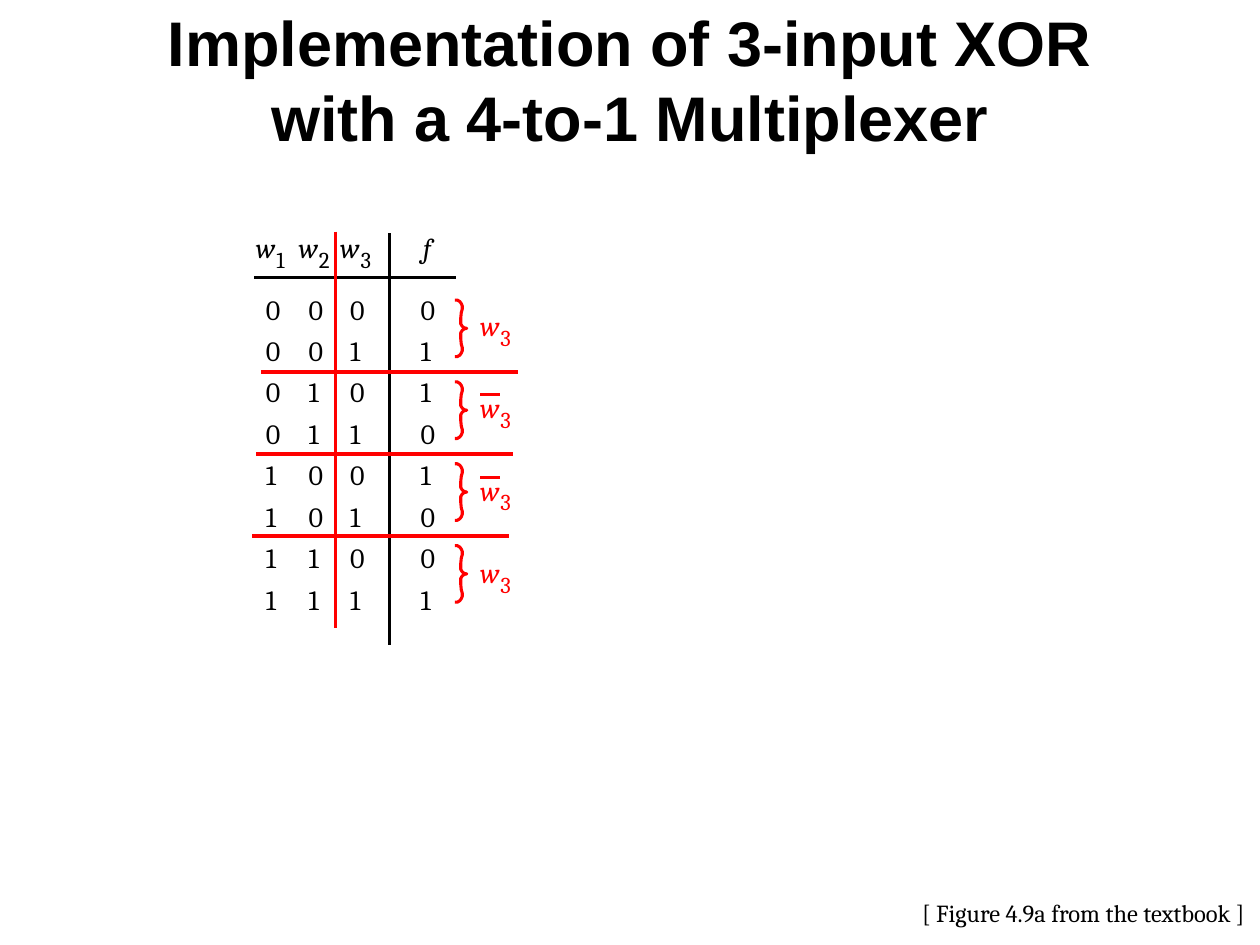
"""Builds a slide with the truth table of a 3-input XOR split for a 4-to-1 multiplexer."""
from dataclasses import dataclass
from itertools import product

from lxml import etree
from pptx import Presentation
from pptx import util as u
from pptx.dml import color
from pptx.enum import shapes, text
from pptx.oxml import ns


@dataclass(frozen=True)
class Theme:
    ink: color.RGBColor = color.RGBColor(0, 0, 0)
    accent: color.RGBColor = color.RGBColor(255, 0, 0)
    title_font: str = "Arial"
    body_font: str = "Cambria"
    title_size: int = 36
    symbol_size: int = 16
    index_size: int = 13
    credit_size: int = 14
    rule_width: float = 1.75
    split_width: float = 2


THEME = Theme()
INPUT_LEFTS = (5.36, 6.22, 7.06)
OUTPUT_LEFT = 8.48
FIRST_ROW, PAIR_PITCH = 5.89, 1.67
GROUP_PITCH = 1.65
BRACE_LEFT, BRACE_TOP, BRACE_HEIGHT = 9.17, 6.05, 1.14
BRACE_HALF = ((0, 0), (0.05, 0), (0.1, 0.03), (0.13, 0.07), (0.15, 0.12),
              (0.15, 0.18), (0.13, 0.25), (0.12, 0.36), (0.12, 0.48),
              (0.15, 0.53), (0.19, 0.56))


def apply(target, values):
    for name, value in values.items():
        setattr(target, name, value)


def add_text(slide, wording, left, top, width, height, size, ink=THEME.ink,
             frame_format=None, align=None, **font_format):
    box = slide.shapes.add_textbox(u.Cm(left), u.Cm(top), u.Cm(width), u.Cm(height))
    frame = box.text_frame
    apply(frame, {"word_wrap": False, "auto_size": text.MSO_AUTO_SIZE.SHAPE_TO_FIT_TEXT,
                  "text": wording, **(frame_format or {})})
    paragraph = frame.paragraphs[0]
    paragraph.alignment = align
    for run in paragraph.runs:
        apply(run.font, {"name": THEME.body_font, "size": u.Pt(size), **font_format})
        run.font.color.rgb = ink


def add_symbol(slide, wording, left, top, size=THEME.symbol_size, ink=THEME.ink, **font_format):
    margins = dict.fromkeys(("margin_left", "margin_top", "margin_right", "margin_bottom"), 0)
    add_text(slide, wording, left, top, 0.43, 0.69, size, ink, margins, **font_format)


def add_variable(slide, index, left, top, ink=THEME.ink):
    add_symbol(slide, "w", left, top, ink=ink, italic=True)
    add_symbol(slide, str(index), left + 0.41, top + 0.3, THEME.index_size, ink)


def add_line(slide, start, end, ink, width):
    ends = [u.Cm(value) for value in (*start, *end)]
    line = slide.shapes.add_connector(shapes.MSO_CONNECTOR.STRAIGHT, *ends)
    line.line.color.rgb = ink
    line.line.width = u.Pt(width)
    etree.SubElement(line._element.spPr, ns.qn("a:effectLst"))


def add_brace(slide, left, top):
    lower_half = [(x, BRACE_HEIGHT - y) for x, y in reversed(BRACE_HALF)]
    outline = [*BRACE_HALF, (0.24, BRACE_HEIGHT / 2), *lower_half]
    points = [(u.Cm(left + x), u.Cm(top + y)) for x, y in outline]
    builder = slide.shapes.build_freeform(*points[0])
    builder.add_line_segments(points[1:], close=False)
    brace = builder.convert_to_shape()
    brace.shadow.inherit = False
    brace.fill.background()
    brace.line.color.rgb = THEME.accent
    brace.line.width = u.Pt(THEME.rule_width)


def add_truth_table(slide):
    add_line(slide, (5.13, 5.59), (9.19, 5.59), THEME.ink, THEME.rule_width)
    add_line(slide, (7.85, 4.7), (7.85, 13), THEME.ink, THEME.rule_width)
    for index, left in enumerate(INPUT_LEFTS, 1):
        add_variable(slide, index, left - 0.2, 4.65)
    add_symbol(slide, "f", 8.53, 4.65, italic=True)
    for row, inputs in enumerate(product((0, 1), repeat=3)):
        output = sum(inputs) % 2
        for left, bit in zip((*INPUT_LEFTS, OUTPUT_LEFT), (*inputs, output)):
            add_symbol(slide, str(bit), left, FIRST_ROW + row * PAIR_PITCH / 2)


def add_groups(slide):
    for group, (w1, w2) in enumerate(product((0, 1), repeat=2)):
        add_brace(slide, BRACE_LEFT, BRACE_TOP + group * GROUP_PITCH)
        label_left, label_top = 9.68, 6.22 + group * 1.66
        add_variable(slide, 3, label_left, label_top, THEME.accent)
        if w1 != w2:
            bar_top = label_top + 0.08
            add_line(slide, (label_left, bar_top), (label_left + 0.4, bar_top),
                     THEME.accent, THEME.rule_width)


def add_splits(slide):
    add_line(slide, (6.76, 4.67), (6.76, 12.65), THEME.accent, THEME.split_width)
    for group in range(3):
        left, top = 5.26 - group * 0.09, 7.5 + group * GROUP_PITCH
        add_line(slide, (left, top), (left + 5.18, top), THEME.accent, THEME.split_width)


def main():
    deck = Presentation()
    deck.slide_width, deck.slide_height = u.Cm(25.4), u.Cm(19.05)
    slide = deck.slides.add_slide(deck.slide_layouts[6])
    add_truth_table(slide)
    add_groups(slide)
    title_frame = {"word_wrap": True, "auto_size": text.MSO_AUTO_SIZE.NONE,
                   "vertical_anchor": text.MSO_ANCHOR.MIDDLE}
    add_text(slide, "Implementation of 3-input XOR\vwith a 4-to-1 Multiplexer",
             0, 0, 25.4, 3.18, THEME.title_size, frame_format=title_frame,
             align=text.PP_ALIGN.CENTER, name=THEME.title_font, bold=True)
    add_text(slide, "[ Figure 4.9a from the textbook ]", 18.34, 17.98, 7.06, 0.86,
             THEME.credit_size)
    add_splits(slide)
    deck.save("out.pptx")


if __name__ == "__main__":
    main()
